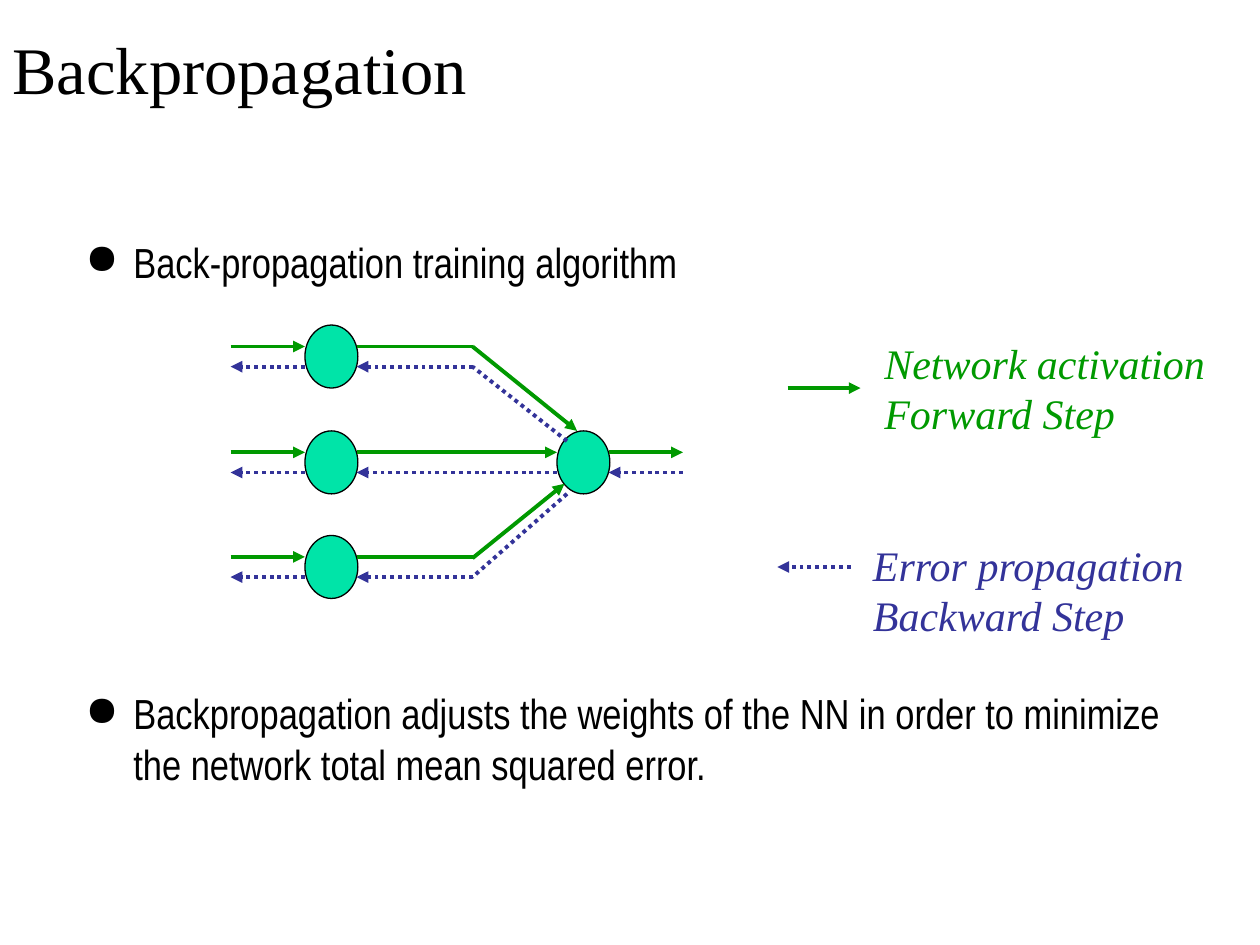
from pptx import Presentation
from pptx.dml.color import RGBColor as Rgb
from pptx.enum.dml import MSO_LINE as Dash
from pptx.enum.shapes import MSO_CONNECTOR as Conn, MSO_SHAPE as Shape
from pptx.enum.text import MSO_ANCHOR as Anchor
from pptx.oxml.ns import qn
from pptx.util import Inches, Pt
from lxml.etree import SubElement as Sub

HUES = {"ink": "000000", "node": "00E4A8", "ahead": "009900", "back": "333399"}
SERIF, SANS = "Times New Roman", "Arial Narrow"


def apply(item, vals):
    """Set each named value on the item."""
    for name, val in vals.items():
        setattr(item, name, val)


class Board:
    """Holds the style and the current slide."""

    def __init__(self, slide):
        self.slide = slide
        self.hues = {name: Rgb.from_string(hue) for name, hue in HUES.items()}

    def text(self, box, lines, face, size, hue="ink", slant=False, anchor=Anchor.TOP):
        """Add a text box with one paragraph for each line."""
        frame = self.slide.shapes.add_textbox(*map(Inches, box)).text_frame
        apply(frame, {"word_wrap": True, "vertical_anchor": anchor})
        frame.text = "\n".join(lines)
        for para in frame.paragraphs:
            for run in para.runs:
                apply(run.font, {"name": face, "size": Pt(size), "italic": slant})
                run.font.color.rgb = self.hues[hue]
        return frame

    def bullets(self, box, lines, gap):
        """Add bulleted paragraphs set apart by a gap in points."""
        frame = self.text(box, lines, SANS, 24)
        for num, para in enumerate(frame.paragraphs):
            para.space_before = Pt(gap if num else 0)
            props = para._p.get_or_add_pPr()
            props.set("marL", str(Inches(0.38)))
            props.set("indent", str(-Inches(0.38)))
            Sub(Sub(props, qn("a:buClr")), qn("a:srgbClr"), val=HUES["ink"])
            Sub(props, qn("a:buChar"), char="●")

    def node(self, left, mid):
        """Add a neuron centred on a row."""
        box = map(Inches, (left, mid - 0.25, 0.42, 0.5))
        oval = self.slide.shapes.add_shape(Shape.OVAL, *box)
        oval.shadow.inherit = False
        oval.fill.solid()
        oval.fill.fore_color.rgb = self.hues["node"]
        oval.line.color.rgb = self.hues["ink"]
        oval.line.width = Pt(0.75)

    def link(self, start, end, hue, head=True):
        """Add a signal line, dotted when it runs back."""
        ends = map(Inches, (*start, *end))
        wire = self.slide.shapes.add_connector(Conn.STRAIGHT, *ends)
        wire.line.color.rgb = self.hues[hue]
        dash = Dash.ROUND_DOT if hue == "back" else None
        apply(wire.line, {"width": Pt(2.25), "dash_style": dash})
        props = wire._element.spPr
        if head:
            Sub(props.find(qn("a:ln")), qn("a:tailEnd"), type="triangle")
        Sub(props, qn("a:effectLst"))

    def pair(self, left, right, mid, head=True):
        """Add a forward line above a row's centre and a backward line below."""
        self.link((left, mid - 0.08), (right, mid - 0.08), "ahead", head)
        self.link((right, mid + 0.08), (left, mid + 0.08), "back")


def main():
    """Build the slide."""
    deck = Presentation()
    apply(deck, {"slide_width": Inches(10), "slide_height": Inches(7.5)})
    board = Board(deck.slides.add_slide(deck.slide_layouts[6]))

    board.text((0, 0, 9.75, 1.08), ["Backpropagation"], SERIF, 38, anchor=Anchor.MIDDLE)
    board.bullets((0.58, 1.83, 9.08, 4.67), [
        "Back-propagation training algorithm",
        "Backpropagation adjusts the weights of the NN in order to minimize "
        "the network total mean squared error.",
    ], 229)

    rows = top, mid, low = [2.83, 3.67, 4.5]
    for row in rows:
        board.node(2.42, row)
        board.pair(1.83, 2.42, row)
        board.pair(2.83, 4.42 if row == mid else 3.75, row, row == mid)
    board.node(4.42, mid)
    board.pair(4.83, 5.42, mid)

    board.link((3.75, top - 0.08), (4.58, 3.42), "ahead")
    board.link((3.75, low - 0.07), (4.48, 3.84), "ahead")
    board.link((4.5, 3.5), (3.75, top + 0.08), "back", False)
    board.link((4.5, 3.92), (3.75, low + 0.08), "back", False)

    board.link((6.25, 3.08), (6.83, 3.08), "ahead")
    board.text((6.92, 2.63, 3.08, 0.9), ["Network activation", "Forward Step"],
               SERIF, 24, "ahead", True)
    board.link((6.75, low), (6.17, low), "back")
    board.text((6.83, 4.23, 2.83, 0.9), ["Error propagation", "Backward Step"],
               SERIF, 24, "back", True)
    deck.save("out.pptx")


if __name__ == "__main__":
    main()
